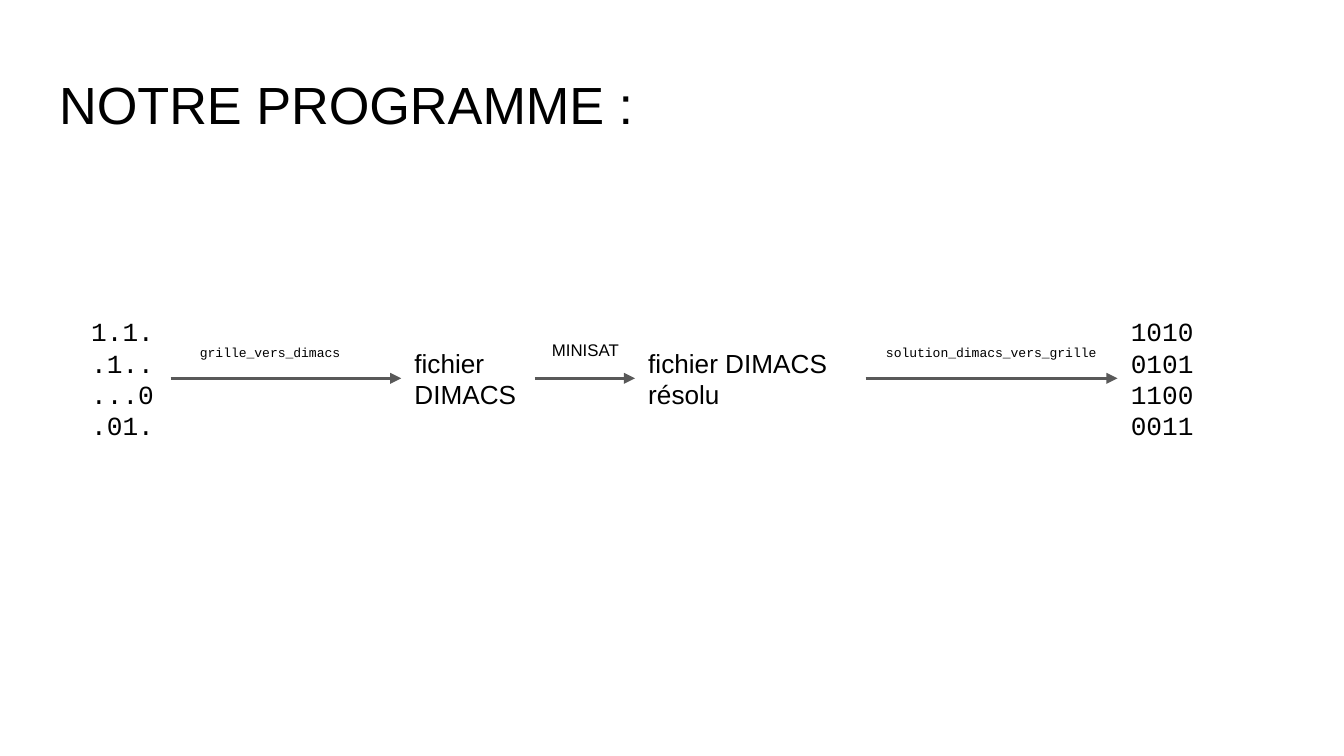
from lxml.etree import SubElement
from pptx import Presentation
from pptx.dml.color import RGBColor
from pptx.enum.shapes import MSO_CONNECTOR as CONN
from pptx.enum.text import MSO_ANCHOR as ANCHOR, MSO_AUTO_SIZE as AUTO, PP_ALIGN as ALIGN
from pptx.oxml.ns import qn
from pptx.util import Pt

PX = 4572
MID_Y = 563
COLORS = {"text": "000000", "arrow": "595959"}
SANS, MONO = "Arial", "Courier New"


def px(n):
    """Turn a length in px (200 to the inch) into EMU."""
    return n * PX


def place(sp, x, y, w, h):
    """Move and size a shape."""
    sp.left, sp.top, sp.width, sp.height = px(x), px(y), px(w), px(h)


def write(sp, lines, font, size, align=ALIGN.LEFT, spacing=1.0, anchor=ANCHOR.MIDDLE):
    """Fill a shape with one paragraph per line."""
    tf = sp.text_frame
    tf.word_wrap = True
    tf.vertical_anchor = anchor
    tf.margin_left = tf.margin_right = tf.margin_top = tf.margin_bottom = px(20)
    for i, line in enumerate(lines):
        p = tf.add_paragraph() if i else tf.paragraphs[0]
        p.alignment, p.line_spacing = align, spacing
        r = p.add_run()
        r.text = line
        r.font.name, r.font.size = font, Pt(size)
        r.font.color.rgb = RGBColor.from_string(COLORS["text"])


def add_title(s, text):
    """Format the title placeholder."""
    place(s.shapes.title, 68, 97, 1864, 126)
    write(s.shapes.title, [text], SANS, 28, spacing=0.9)
    s.shapes.title.text_frame.auto_size = AUTO.NONE


def add_text(s, x, y, w, h, lines, font, size, **style):
    """Add a text box that grows with its text."""
    sp = s.shapes.add_textbox(px(x), px(y), px(w), px(h))
    write(sp, lines, font, size, **style)
    sp.text_frame.auto_size = AUTO.SHAPE_TO_FIT_TEXT
    return sp


def add_stage(s, x, w, h, lines, font):
    """Add a stage of the flow, centred on its axis."""
    return add_text(s, x, MID_Y - h // 2, w, h, lines, font, 14)


def add_arrow(s, start, end):
    """Join the right side of one stage to the left side of the next."""
    c = s.shapes.add_connector(CONN.STRAIGHT, 0, 0, 0, 0)
    c.begin_connect(start, 3)
    c.end_connect(end, 1)
    c.line.color.rgb = RGBColor.from_string(COLORS["arrow"])
    c.line.width = Pt(1.5)
    SubElement(c.line._get_or_add_ln(), qn("a:tailEnd"), type="triangle")
    SubElement(c._element.spPr, qn("a:effectLst"))


def main():
    """Build the slide and save it."""
    prs = Presentation()
    prs.slide_width, prs.slide_height = px(2000), px(1125)
    s = prs.slides.add_slide(prs.slide_layouts[5])
    add_title(s, "NOTRE PROGRAMME :")

    stages = [
        add_stage(s, 116, 138, 228, ["1.1.", ".1..", "...0", ".01."], MONO),
        add_stage(s, 597, 199, 134, ["fichier DIMACS"], SANS),
        add_stage(s, 945, 343, 134, ["fichier DIMACS résolu"], SANS),
        add_stage(s, 1663, 138, 228, ["1010", "0101", "1100", "0011"], MONO),
    ]
    for start, end in zip(stages, stages[1:]):
        add_arrow(s, start, end)

    labels = [
        (269, 495, 266, 66, "grille_vers_dimacs", MONO, 7, 1.15),
        (793, 491, 156, 70, "MINISAT", SANS, 9, 1.0),
        (1283, 495, 384, 66, "solution_dimacs_vers_grille", MONO, 7, 1.15),
    ]
    for x, y, w, h, text, font, size, spacing in labels:
        add_text(s, x, y, w, h, [text], font, size,
                 align=ALIGN.CENTER, spacing=spacing, anchor=ANCHOR.TOP)
    prs.save("out.pptx")


if __name__ == "__main__":
    main()
